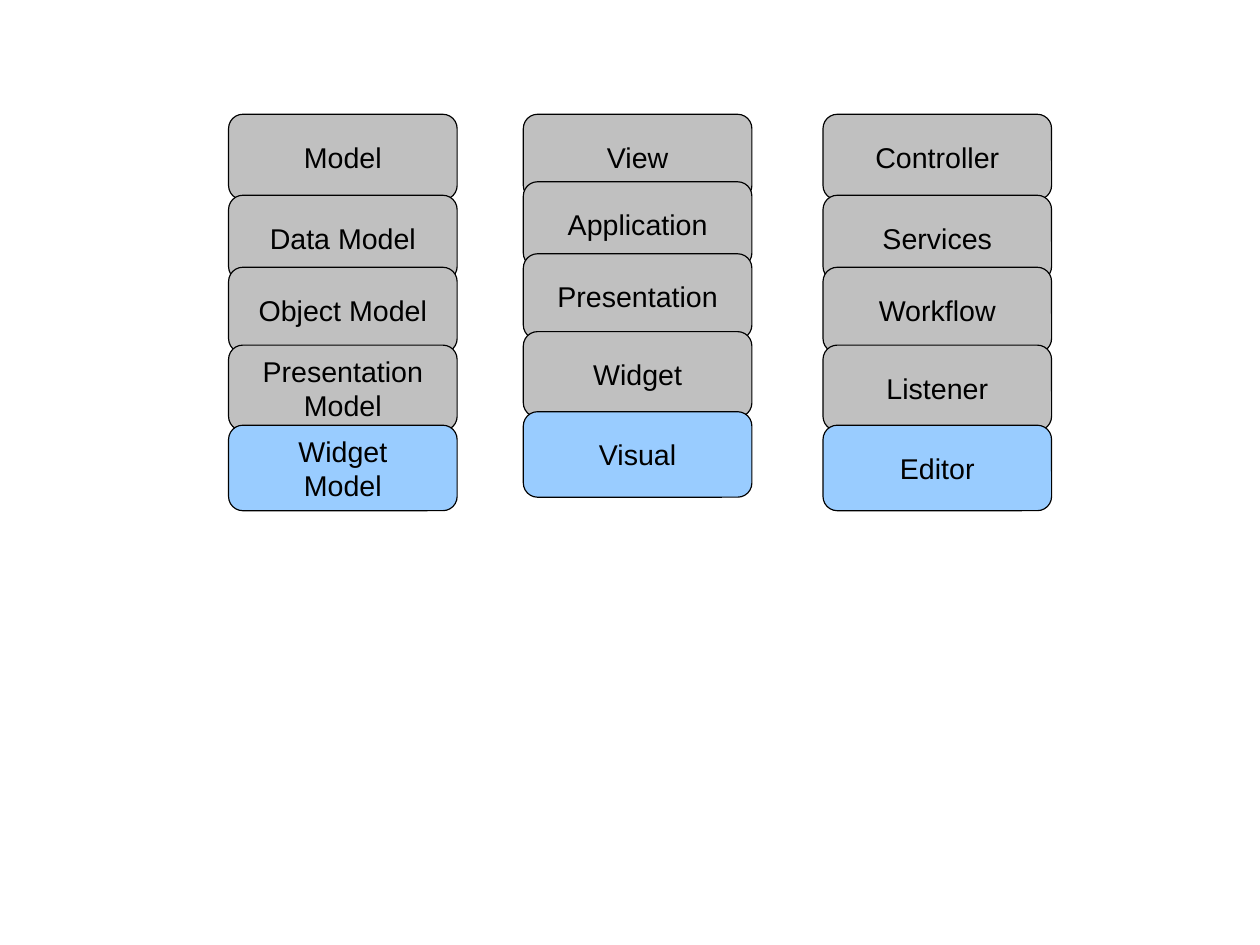
import pptx
import pptx.util
import pptx.dml.color
import pptx.enum.shapes
import pptx.enum.text
from dataclasses import dataclass

Cm = pptx.util.Cm
Pt = pptx.util.Pt
RGB = pptx.dml.color.RGBColor.from_string


@dataclass(frozen=True)
class Theme:
    font: str = "Arial"
    size: int = 18
    ink: str = "000000"
    layer: str = "C0C0C0"
    base_layer: str = "99CCFF"
    outline: float = 0
    corner: float = 0.167


THEME = Theme()
LAYER_WIDTH, LAYER_HEIGHT = 5.08, 1.9
STACK_TOP = 2.54
LAYER_OFFSETS = [0, 1.8, 3.4, 5.13, 6.91]

# left edge, upward shift of the layers below the heading, layer names
STACKS = [
    (5.08, 0, ["Model", "Data Model", "Object Model",
               "Presentation\nModel", "Widget\nModel"]),
    (11.63, 0.3, ["View", "Application", "Presentation", "Widget", "Visual"]),
    (18.29, 0, ["Controller", "Services", "Workflow", "Listener", "Editor"]),
]


def add_layer(shapes, left, top, name, fill):
    layer = shapes.add_shape(
        pptx.enum.shapes.MSO_SHAPE.ROUNDED_RECTANGLE,
        Cm(left), Cm(top), Cm(LAYER_WIDTH), Cm(LAYER_HEIGHT))
    layer.adjustments[0] = THEME.corner
    layer.shadow.inherit = False
    layer.fill.solid()
    layer.fill.fore_color.rgb = RGB(fill)
    layer.line.color.rgb = RGB(THEME.ink)
    layer.line.width = Pt(THEME.outline)

    label = layer.text_frame
    label.text = name
    label.word_wrap = True
    label.vertical_anchor = pptx.enum.text.MSO_ANCHOR.MIDDLE
    for line in label.paragraphs:
        line.alignment = pptx.enum.text.PP_ALIGN.CENTER
        font_format = {"name": THEME.font, "size": Pt(THEME.size)}
        for attribute, value in font_format.items():
            setattr(line.font, attribute, value)
        line.font.color.rgb = RGB(THEME.ink)


def add_stack(shapes, left, top, shift, names):
    """Stack the layers downwards, each covering the foot of the one above."""
    for name, offset in zip(names, LAYER_OFFSETS):
        layer_top = top + offset - (shift if offset else 0)
        fill = THEME.base_layer if name == names[-1] else THEME.layer
        add_layer(shapes, left, layer_top, name, fill)


def main():
    deck = pptx.Presentation()
    deck.slide_width, deck.slide_height = Cm(28), Cm(21)
    slide = deck.slides.add_slide(deck.slide_layouts[6])
    architecture = slide.shapes.add_group_shape()
    for left, shift, names in STACKS:
        add_stack(architecture.shapes, left, STACK_TOP, shift, names)
    deck.save("out.pptx")


if __name__ == "__main__":
    main()
